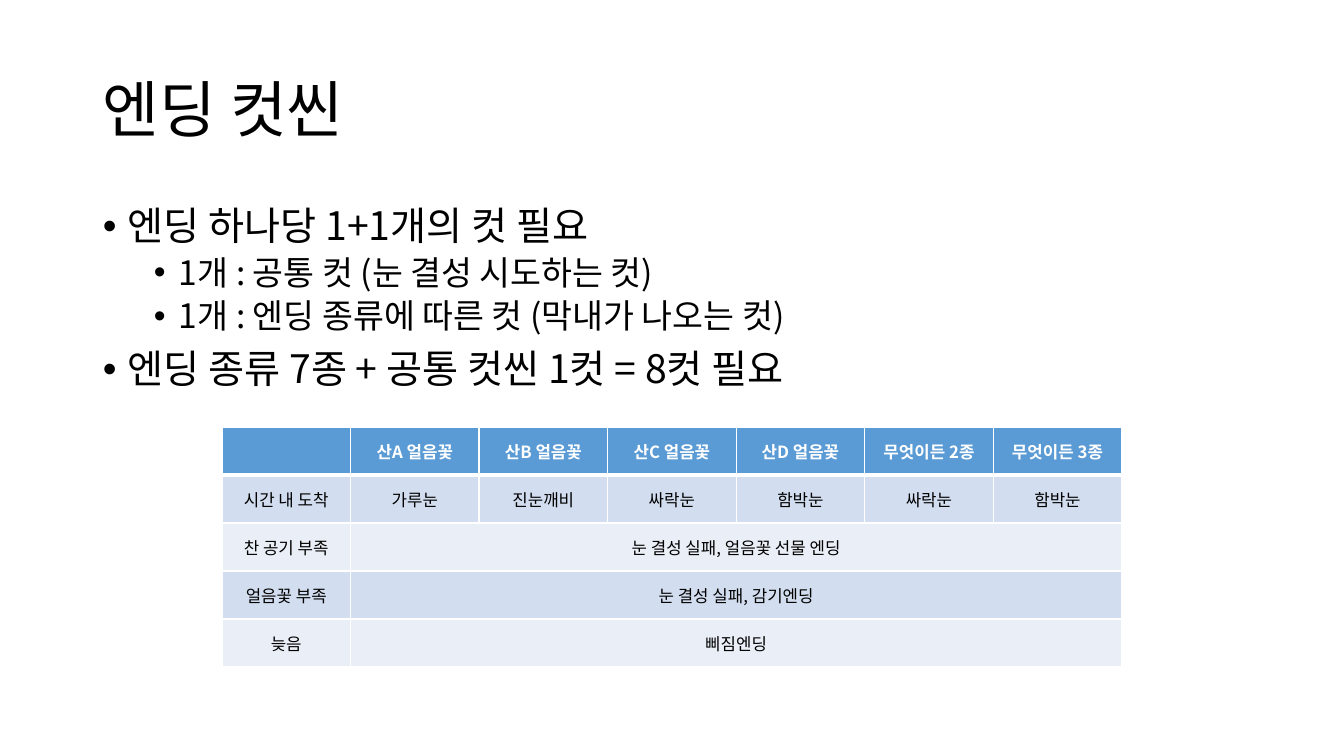
"""Build the ending cutscene slide with its bullet list and ending table."""
import pptx
import pptx.dml.color
import pptx.enum.text
import pptx.oxml
import pptx.oxml.ns
import pptx.util

FONT = "Noto Sans CJK KR"
BLACK, WHITE, HEADER = "000000", "FFFFFF", "5B9BD5"
BANDS = ["D2DEEF", "EAEFF7"]

TITLE = "엔딩 컷씬"
BULLETS = [
    (0, "엔딩 하나당 1+1개의 컷 필요"),
    (1, "1개 : 공통 컷 (눈 결성 시도하는 컷)"),
    (1, "1개 : 엔딩 종류에 따른 컷 (막내가 나오는 컷)"),
    (0, "엔딩 종류 7종 + 공통 컷씬 1컷 = 8컷 필요"),
]
LEVELS = [
    {"size": 28, "before": 10, "indent": 25},
    {"size": 24, "before": 5, "indent": 76},
]
ENDINGS = [
    ["", "산A 얼음꽃", "산B 얼음꽃", "산C 얼음꽃", "산D 얼음꽃", "무엇이든 2종", "무엇이든 3종"],
    ["시간 내 도착", "가루눈", "진눈깨비", "싸락눈", "함박눈", "싸락눈", "함박눈"],
    ["찬 공기 부족", "눈 결성 실패, 얼음꽃 선물 엔딩"],
    ["얼음꽃 부족", "눈 결성 실패, 감기엔딩"],
    ["늦음", "삐짐엔딩"],
]

TITLE_BOX = (93, 40, 1159, 146)
BODY_BOX = (93, 202, 1159, 480)
TABLE_BOX = (222, 427, 900, 240)
HANGING = 25


def px(n):
    return pptx.util.Emu(round(n * 914400 / 100.8))


def rgb(value):
    return pptx.dml.color.RGBColor.from_string(value)


def xml(tag, attrs, inner=""):
    ns = pptx.oxml.ns.nsdecls("a")
    return pptx.oxml.parse_xml(f"<a:{tag} {ns} {attrs}>{inner}</a:{tag}>")


def add_run(p, text, size, color=BLACK, bold=False):
    r = p.add_run()
    r.text = text
    r.font.size = pptx.util.Pt(size)
    r.font.bold = bold
    r.font.color.rgb = rgb(color)
    r.font.name = FONT
    r.font._element.append(xml("ea", f'typeface="{FONT}"'))


def add_text_box(s, box, anchor):
    tf = s.shapes.add_textbox(*map(px, box)).text_frame
    tf.word_wrap = True
    tf.vertical_anchor = anchor
    return tf


def add_title(s):
    tf = add_text_box(s, TITLE_BOX, pptx.enum.text.MSO_ANCHOR.MIDDLE)
    p = tf.paragraphs[0]
    p.line_spacing = 0.9
    add_run(p, TITLE, 44)


def add_bullets(s):
    tf = add_text_box(s, BODY_BOX, pptx.enum.text.MSO_ANCHOR.TOP)
    for i, (level, text) in enumerate(BULLETS):
        style = LEVELS[level]
        p = tf.add_paragraph() if i else tf.paragraphs[0]
        p.level = level
        p.line_spacing = 0.9
        p.space_before = pptx.util.Pt(style["before"])
        pPr = p._p.get_or_add_pPr()
        pPr.set("marL", str(px(style["indent"])))
        pPr.set("indent", str(-px(HANGING)))
        pPr.append(xml("buFont", 'typeface="Arial"'))
        pPr.append(xml("buChar", 'char="•"'))
        add_run(p, text, style["size"])


def style_cell(cell, row):
    widths = {"L": 1, "R": 1, "T": 3 if row == 1 else 1, "B": 3 if row == 0 else 1}
    tcPr = cell._tc.get_or_add_tcPr()
    line = f'<a:solidFill><a:srgbClr val="{WHITE}"/></a:solidFill>'
    for side, width in widths.items():
        tcPr.append(xml(f"ln{side}", f'w="{pptx.util.Pt(width)}"', line))
    cell.fill.solid()
    cell.fill.fore_color.rgb = rgb(BANDS[(row - 1) % 2] if row else HEADER)
    cell.vertical_anchor = pptx.enum.text.MSO_ANCHOR.MIDDLE
    cell.margin_left = cell.margin_right = px(7)
    cell.margin_top = cell.margin_bottom = px(4)


def add_table(s):
    rows, cols = len(ENDINGS), len(ENDINGS[0])
    table = s.shapes.add_table(rows, cols, *map(px, TABLE_BOX)).table
    for column in table.columns:
        column.width = px(TABLE_BOX[2] / cols)
    for i, texts in enumerate(ENDINGS):
        table.rows[i].height = px(TABLE_BOX[3] / rows)
        for j in range(cols):
            style_cell(table.cell(i, j), i)
        if len(texts) < cols:
            table.cell(i, len(texts) - 1).merge(table.cell(i, cols - 1))
        for j, text in enumerate(texts):
            p = table.cell(i, j).text_frame.paragraphs[0]
            p.alignment = pptx.enum.text.PP_ALIGN.CENTER
            if text:
                add_run(p, text, 12, BLACK if i else WHITE, bold=i == 0)


def main():
    prs = pptx.Presentation()
    prs.slide_width, prs.slide_height = px(1344), px(756)
    s = prs.slides.add_slide(prs.slide_layouts[6])
    add_title(s)
    add_bullets(s)
    add_table(s)
    prs.save("out.pptx")


if __name__ == "__main__":
    main()
